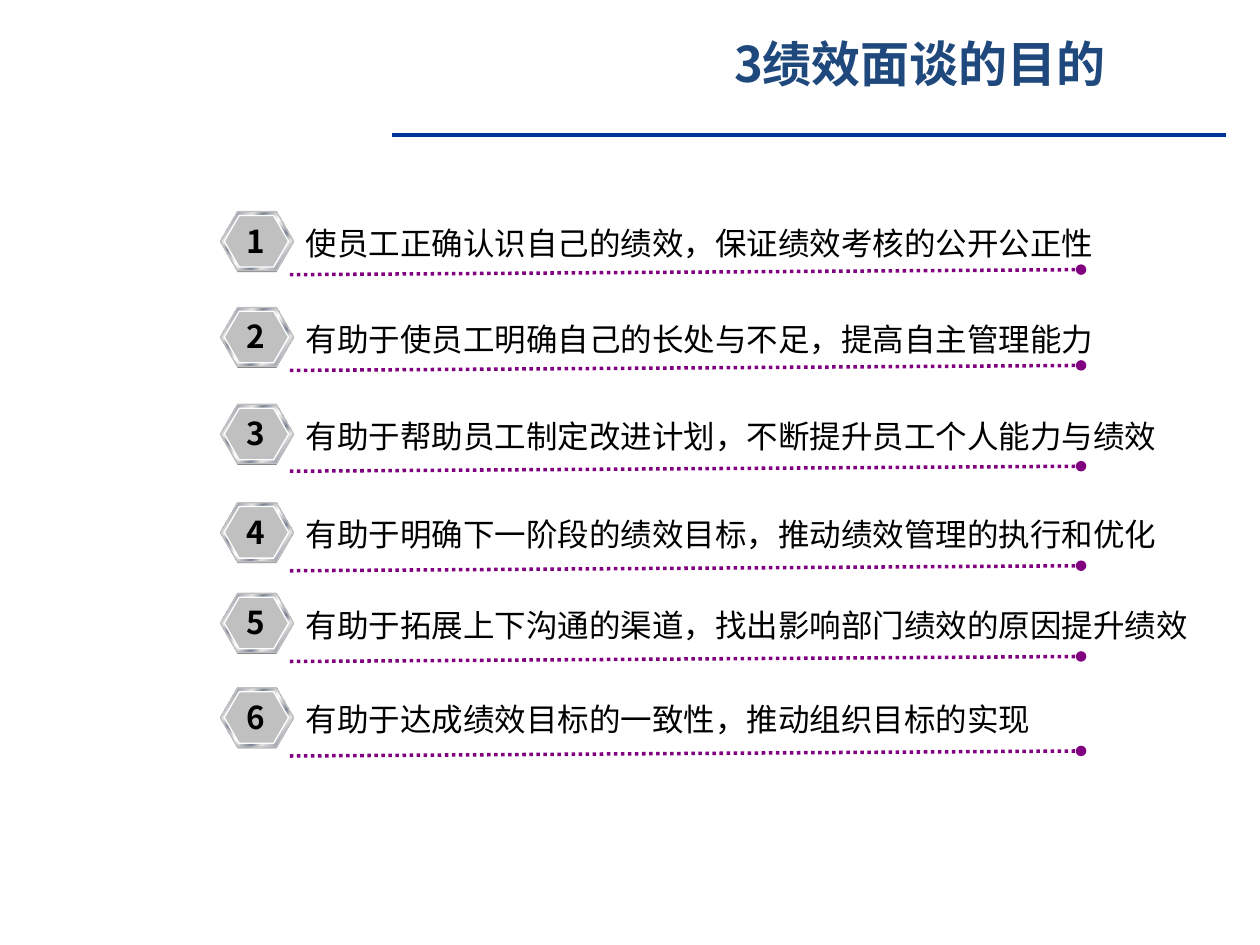
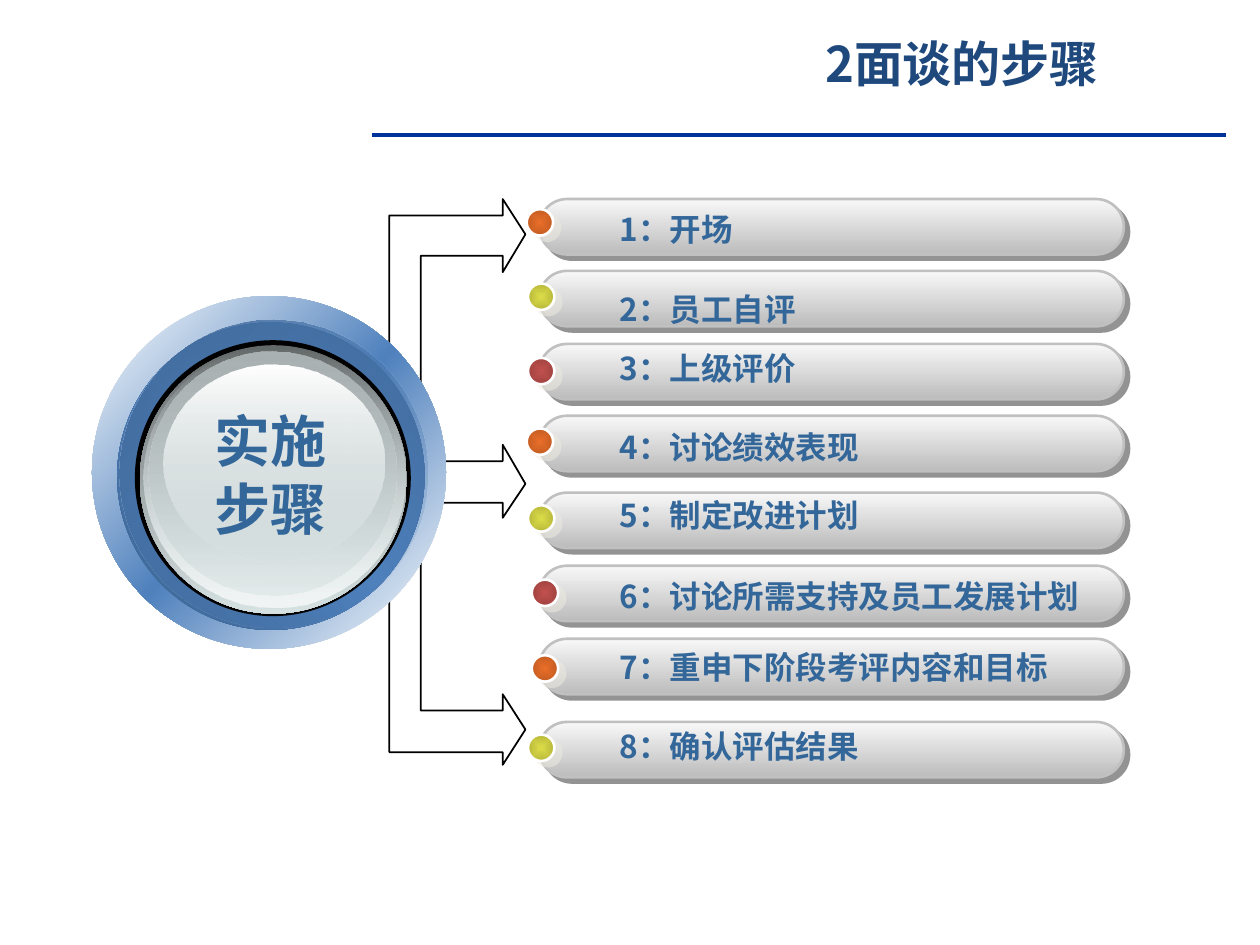
import pptx
import pptx.util
import pptx.dml.color
import pptx.enum.dml
import pptx.enum.shapes
import pptx.enum.text
import pptx.oxml.ns
import lxml.etree

# Shared look
FONT = "Noto Sans CJK SC"
NAVY, RULE, STEEL = "1F497D", "003399", "336699"
WHITE, BLACK, SILVER, PURPLE = "FFFFFF", "000000", "C0C0C0", "800080"
KIND = pptx.enum.shapes.MSO_SHAPE
ALIGN = pptx.enum.text.PP_ALIGN
ANCHOR = pptx.enum.text.MSO_ANCHOR
qn = pptx.oxml.ns.qn
inch = pptx.util.Inches

# Slide 1: text, badge top, start of the dotted line
GOALS = [
    ("使员工正确认识自己的绩效，保证绩效考核的公开公正性", 1.68, 2.18),
    ("有助于使员工明确自己的长处与不足，提高自主管理能力", 2.44, 2.94),
    ("有助于帮助员工制定改进计划，不断提升员工个人能力与绩效", 3.21, 3.74),
    ("有助于明确下一阶段的绩效目标，推动绩效管理的执行和优化", 3.99, 4.53),
    ("有助于拓展上下沟通的渠道，找出影响部门绩效的原因提升绩效", 4.71, 5.25),
    ("有助于达成绩效目标的一致性，推动组织目标的实现", 5.46, 6.0),
]
METAL = [(0, "E6E6E6"), (8, "7D8496"), (26, "E6E6E6"), (34, "7D8496"),
         (46, "E6E6E6"), (50, WHITE), (54, "E6E6E6"), (66, "7D8496"),
         (74, "E6E6E6"), (92, "7D8496"), (100, "E6E6E6")]

# Slide 2: text, bar top, dot left, dot top, label top
STEPS = [
    ("开场", 1.58, 4.18, 1.66, 1.5),
    ("员工自评", 2.15, 4.19, 2.25, 2.13),
    ("上级评价", 2.73, 4.19, 2.84, 2.6),
    ("讨论绩效表现", 3.3, 4.18, 3.4, 3.23),
    ("制定改进计划", 3.91, 4.19, 4.01, 3.77),
    ("讨论所需支持及员工发展计划", 4.49, 4.22, 4.6, 4.41),
    ("重申下阶段考评内容和目标", 5.07, 4.22, 5.2, 4.97),
    ("确认评估结果", 5.73, 4.19, 5.83, 5.6),
]
DOTS = [("E96E29", "C35C22"), ("DCDC48", "B8B83C"), ("C0504D", "A14341")]
BAR = [(0, "F8F8F8"), (100, "BCBCBC")]
# Rings: place, gradient stops (share, colour, opacity), angle
RINGS = [
    ((0.73, 2.35, 2.81, 2.8), [(0, WHITE), (50, "4F81BD"), (100, WHITE)], 45),
    ((0.93, 2.56, 2.44, 2.44),
     [(0, "3C6391"), (50, "4F81BD"), (100, "3C6391")], 315),
    ((0.95, 2.54, 2.44, 2.44), [(0, "416A9B"), (100, "4F81BD", 0)], 45),
    ((1.07, 2.7, 2.19, 2.19), BLACK, 0),
    ((1.11, 2.74, 2.12, 2.13), [(0, "636869"), (100, "D6E1E2")], 90),
    ((1.14, 2.75, 2.08, 2.07), [(0, "D6E1E2", 0), (100, "F1F5F5")], 90),
    ((1.18, 2.79, 1.97, 1.94), [(0, "AAB2B3"), (100, "D6E1E2", 48)], 90),
    ((1.3, 2.89, 1.75, 1.57), [(0, WHITE), (100, "D6E1E2", 38)], 90),
]
# Arms of the arrow: shaft top, head top, tip, head bottom, shaft bottom
ARMS = [(1.71, 1.58, 1.86, 2.16, 2.03),
        (3.66, 3.53, 3.84, 4.11, 3.99),
        (5.64, 5.51, 5.79, 6.07, 5.97)]
SPINE, INNER, NECK, TIP = 3.09, 3.34, 3.99, 4.17


def rgb(code):
    return pptx.dml.color.RGBColor.from_string(code)


def node(up, tag, **atts):
    return lxml.etree.SubElement(
        up, qn("a:" + tag), {k: str(v) for k, v in atts.items()})


def tint(up, code, clear=100):
    node(node(up, "srgbClr", val=code), "alpha", val=clear * 1000)


def blend(shape, stops, angle):
    """Gradient fill; an angle of None runs out from the centre."""
    shape.fill.gradient()
    grad = shape.element.spPr.find(qn("a:gradFill"))
    grad.clear()
    grad.set("rotWithShape", "1")
    row = node(grad, "gsLst")
    for share, *hue in stops:
        tint(node(row, "gs", pos=share * 1000), *hue)
    if angle is None:
        node(node(grad, "path", path="shape"), "fillToRect",
             l=50000, t=50000, r=50000, b=50000)
    else:
        node(grad, "lin", ang=angle * 60000, scaled=0)


def edge(shape, code, width):
    if code:
        shape.line.color.rgb = rgb(code)
        shape.line.width = pptx.util.Pt(width)
    else:
        shape.line.fill.background()


def draw(slide, kind, place, fill, angle=0, line=None, width=0.75, adj=None):
    shape = slide.shapes.add_shape(kind, *map(inch, place))
    shape.shadow.inherit = False
    if adj is not None:
        shape.adjustments[0] = adj
    if isinstance(fill, str):
        shape.fill.solid()
        shape.fill.fore_color.rgb = rgb(fill)
    else:
        blend(shape, fill, angle)
    edge(shape, line, width)
    return shape


def shade(shape, code, dist, angle):
    cast = node(shape.element.spPr.find(qn("a:effectLst")), "outerShdw",
                dist=int(pptx.util.Pt(dist)), dir=angle * 60000,
                algn="ctr", rotWithShape=0)
    tint(cast, code, 50)


def write(slide, place, lines, size, code, bold=False, align=ALIGN.LEFT,
          anchor=ANCHOR.TOP, wrap=False):
    frame = slide.shapes.add_textbox(*map(inch, place)).text_frame
    frame.word_wrap = wrap
    frame.vertical_anchor = anchor
    frame.text = lines
    for para in frame.paragraphs:
        para.alignment = align
        font = para.font
        font.size = pptx.util.Pt(size)
        font.bold = bold
        font.color.rgb = rgb(code)
        font.name = FONT
        node(para._p.pPr.find(qn("a:defRPr")), "ea", typeface=FONT)


def rule(slide, start, end, code):
    line = slide.shapes.add_connector(
        pptx.enum.shapes.MSO_CONNECTOR.STRAIGHT, *map(inch, start + end))
    edge(line, code, 2)
    node(line.element.spPr, "effectLst")
    return line


def page(deck, title, width, lefts):
    slide = deck.slides.add_slide(deck.slide_layouts[6])
    for left in lefts:
        rule(slide, (left, 1.07), (left + 6.62, 1.07), RULE)
    write(slide, (5.27, 0.17, width, 0.66), title, 28, NAVY, True,
          ALIGN.CENTER, ANCHOR.MIDDLE, True)
    return slide


def goals(deck):
    slide = page(deck, "3绩效面谈的目的", 4.06, [3.11])
    for num, (text, top, base) in enumerate(GOALS, 1):
        # Badge in three layers
        for place, fill, line in [
                ((1.75, top + 0.01, 0.58, 0.47), "808080", None),
                ((1.75, top, 0.58, 0.47), METAL, SILVER),
                ((1.78, top + 0.03, 0.51, 0.41), SILVER, WHITE)]:
            draw(slide, KIND.HEXAGON, place, fill, 45, line, adj=0.289)
        # Dotted line with a round end
        line = rule(slide, (2.3, base), (8.58, base - 0.04), PURPLE)
        line.line.dash_style = pptx.enum.dml.MSO_LINE.ROUND_DOT
        node(line.element.spPr.find(qn("a:ln")), "tailEnd", type="oval")
        # Text, a quarter inch to each letter
        write(slide, (2.33, top + 0.05, 0.25 * len(text) + 0.2, 0.4),
              text, 18, BLACK)
        write(slide, (1.86, top + 0.03, 0.34, 0.4), str(num), 18, BLACK,
              True, ALIGN.CENTER)


def steps(deck):
    slide = page(deck, "2面谈的步骤", 4.73, [2.95, 3.11])
    # Three-armed arrow
    spots = []
    for high, head, mid, foot, low in ARMS:
        spots += [(INNER, high), (NECK, high), (NECK, head), (TIP, mid),
                  (NECK, foot), (NECK, low), (INNER, low)]
    spots.append((SPINE, ARMS[-1][-1]))
    pen = slide.shapes.build_freeform(
        inch(SPINE), inch(ARMS[0][0]), scale=1.0)
    pen.add_line_segments([(inch(x), inch(y)) for x, y in spots])
    arrow = pen.convert_to_shape()
    arrow.shadow.inherit = False
    arrow.fill.solid()
    arrow.fill.fore_color.rgb = rgb(WHITE)
    node(arrow.element.spPr.find(qn("a:solidFill"))[0], "alpha", val=70000)
    edge(arrow, BLACK, 1)
    # Round dial
    for place, fill, angle in RINGS:
        draw(slide, KIND.OVAL, place, fill, angle)
    write(slide, (1.6, 3.18, 1.09, 1.17), "实施\n步骤", 32, STEEL, True,
          ALIGN.CENTER)
    # Bars, dots and labels
    for num, (text, top, left, dot, label) in enumerate(STEPS):
        bar = draw(slide, KIND.ROUNDED_RECTANGLE, (4.28, top, 4.64, 0.44),
                   BAR, 90, SILVER, 1.5, 0.5)
        shade(bar, "292929", 4.2, 45)
        hues = zip((0, 100), DOTS[num % len(DOTS)])
        ball = draw(slide, KIND.OVAL, (left, dot, 0.21, 0.21), hues, None,
                    WHITE, 1.5)
        shade(ball, "EEECE1", 5, 37)
        write(slide, (4.82, label, 4, 0.64), f"{num + 1}：{text}", 18, STEEL,
              True, anchor=ANCHOR.MIDDLE, wrap=True)


def main():
    deck = pptx.Presentation()
    deck.slide_width, deck.slide_height = inch(10), inch(7.5)
    goals(deck)
    steps(deck)
    deck.save("out.pptx")


if __name__ == "__main__":
    main()
